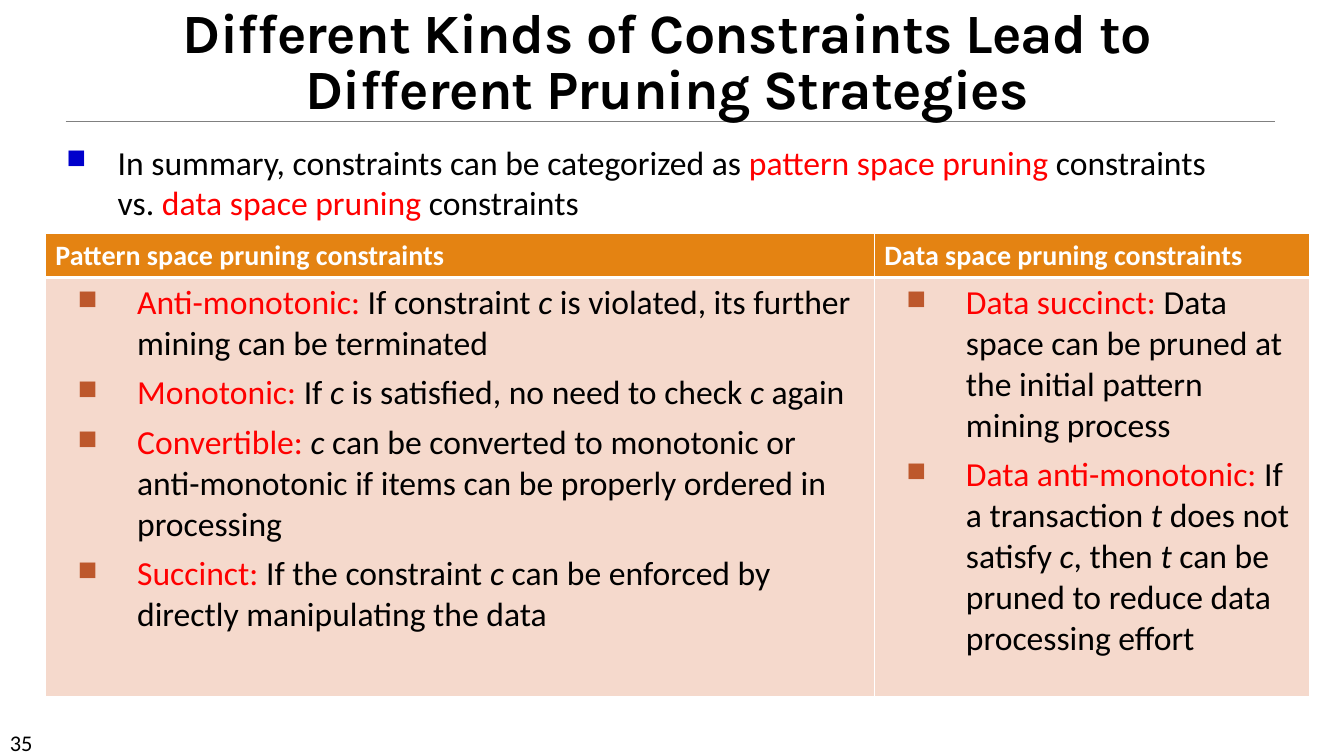
from dataclasses import dataclass

from lxml import etree
from pptx import Presentation, util as u
from pptx.dml.color import RGBColor
from pptx.enum import shapes, text
from pptx.oxml import ns

WIDE, HIGH = u.Inches(13.33), u.Inches(7.5)


@dataclass(frozen=True)
class Theme:
    body: str = "Calibri"
    head: str = "Karla"
    ink: str = "000000"
    key: str = "FF0000"
    white: str = "FFFFFF"
    rule: str = "808080"
    blue: str = "0000CC"
    rust: str = "BD582C"
    band: str = "E48312"
    pale: str = "F5D9CC"
    title: float = 39.6
    main: float = 24
    label: float = 20
    small: float = 16


T = Theme()

# Each run is its text and a style: "" plain, "key" red, "var" italic.
LEAD = [("In summary, constraints can be categorized as ", ""),
        ("pattern space pruning ", "key"), ("constraints vs. ", ""),
        ("data space pruning ", "key"), ("constraints", "")]

GROUPS = [
    ("Pattern space pruning constraints", [
        [("Anti-monotonic:", "key"), (" If constraint ", ""), ("c", "var"),
         (" is violated, its further mining can be terminated", "")],
        [("Monotonic:", "key"), (" If ", ""), ("c", "var"),
         (" is satisfied, no need to check ", ""), ("c", "var"),
         (" again", "")],
        [("Convertible: ", "key"), ("c", "var"),
         (" can be converted to monotonic or anti-monotonic if items can be "
          "properly ordered in processing", "")],
        [("Succinct:", "key"), (" If the constraint ", ""), ("c", "var"),
         (" can be enforced by directly manipulating the data", "")],
    ]),
    ("Data space pruning constraints", [
        [("Data succinct: ", "key"),
         ("Data space can be pruned at the initial pattern mining process",
          "")],
        [("Data anti-monotonic: ", "key"), ("If a transaction ", ""),
         ("t", "var"), (" does not satisfy ", ""), ("c", "var"),
         (", then ", ""), ("t", "var"),
         (" can be pruned to reduce data processing effort", "")],
    ]),
]


def across(pct):
    """Percent of the slide's width."""
    return round(WIDE * pct / 100)


def down(pct):
    """Percent of the slide's height."""
    return round(HIGH * pct / 100)


def child(node, tag, **attrs):
    return etree.SubElement(node, ns.qn(tag), attrs)


def add_run(para, words, size, color=T.ink, face=T.body, bold=False,
            slant=False):
    run = para.add_run()
    run.text = words
    font = run.font
    font.name, font.size = face, u.Pt(size)
    font.bold, font.italic = bold, slant
    font.color.rgb = RGBColor.from_string(color)
    return run


def set_bullet(para, color, left, hang):
    """Square bullet; left margin and hang in inches."""
    props = para._p.get_or_add_pPr()
    props.set("marL", str(u.Inches(left)))
    props.set("indent", str(-u.Inches(hang)))
    child(child(props, "a:buClr"), "a:srgbClr", val=color)
    child(props, "a:buSzPct", val="80000")
    child(props, "a:buChar", char="■")


def add_items(frame, items, color, left, hang):
    for i, item in enumerate(items):
        para = frame.add_paragraph() if i else frame.paragraphs[0]
        set_bullet(para, color, left, hang)
        if i:
            para.space_before = u.Pt(6)
        for words, style in item:
            add_run(para, words, T.main, T.key if style == "key" else T.ink,
                    slant=style == "var")


def add_box(slide, left, top, width, height):
    box = slide.shapes.add_textbox(across(left), down(top), across(width),
                                   down(height))
    box.text_frame.word_wrap = True
    return box.text_frame


def add_title(slide):
    frame = add_box(slide, 4.2, 0, 90.85, 16.67)
    frame.vertical_anchor = text.MSO_ANCHOR.BOTTOM
    para = frame.paragraphs[0]
    para.alignment = text.PP_ALIGN.CENTER
    para.line_spacing = 0.85
    run = add_run(para, "Different Kinds of Constraints Lead to "
                  "Different Pruning Strategies", T.title, face=T.head,
                  bold=True)
    run._r.get_or_add_rPr().set("spc", "-50")


def add_rule(slide):
    line = slide.shapes.add_connector(shapes.MSO_CONNECTOR.STRAIGHT,
                                      across(4.88), down(16),
                                      across(94.9), down(16))
    line.line.color.rgb = RGBColor.from_string(T.rule)
    line.line.width = u.Pt(0.5)
    child(line._element.spPr, "a:effectLst")


def style_cell(cell, fill, **edges):
    """Fill the cell and draw white edges, 1 pt unless edges says more."""
    props = cell._tc.get_or_add_tcPr()
    for side in "LRTB":
        edge = child(props, "a:ln" + side, w=str(u.Pt(edges.get(side, 1))))
        child(child(edge, "a:solidFill"), "a:srgbClr", val=T.white)
    cell.fill.solid()
    cell.fill.fore_color.rgb = RGBColor.from_string(fill)


def add_grid(slide):
    cols, rows = (61.67, 32.41), (5.73, 55.47)
    table = slide.shapes.add_table(
        len(rows), len(cols), across(3.38), down(30.93),
        across(sum(cols)), down(sum(rows))).table
    for row, pct in zip(table.rows, rows):
        row.height = down(pct)
    for i, (name, items) in enumerate(GROUPS):
        table.columns[i].width = across(cols[i])
        top, main = table.cell(0, i), table.cell(1, i)
        style_cell(top, T.band, B=3)
        style_cell(main, T.pale, T=3)
        add_run(top.text_frame.paragraphs[0], name, T.label, T.white,
                bold=True)
        add_items(main.text_frame, items, T.rust, 0.81, 0.59)


def main():
    deck = Presentation()
    deck.slide_width, deck.slide_height = WIDE, HIGH
    slide = deck.slides.add_slide(deck.slide_layouts[6])
    add_rule(slide)
    page = add_box(slide, 0, 95.73, 8.78, 4)
    add_run(page.paragraphs[0], "35", T.small)
    add_title(slide)
    lead = add_box(slide, 4.2, 18.13, 89.12, 12)
    add_items(lead, [LEAD], T.blue, 0.51, 0.51)
    add_grid(slide)
    deck.save("out.pptx")


if __name__ == "__main__":
    main()
